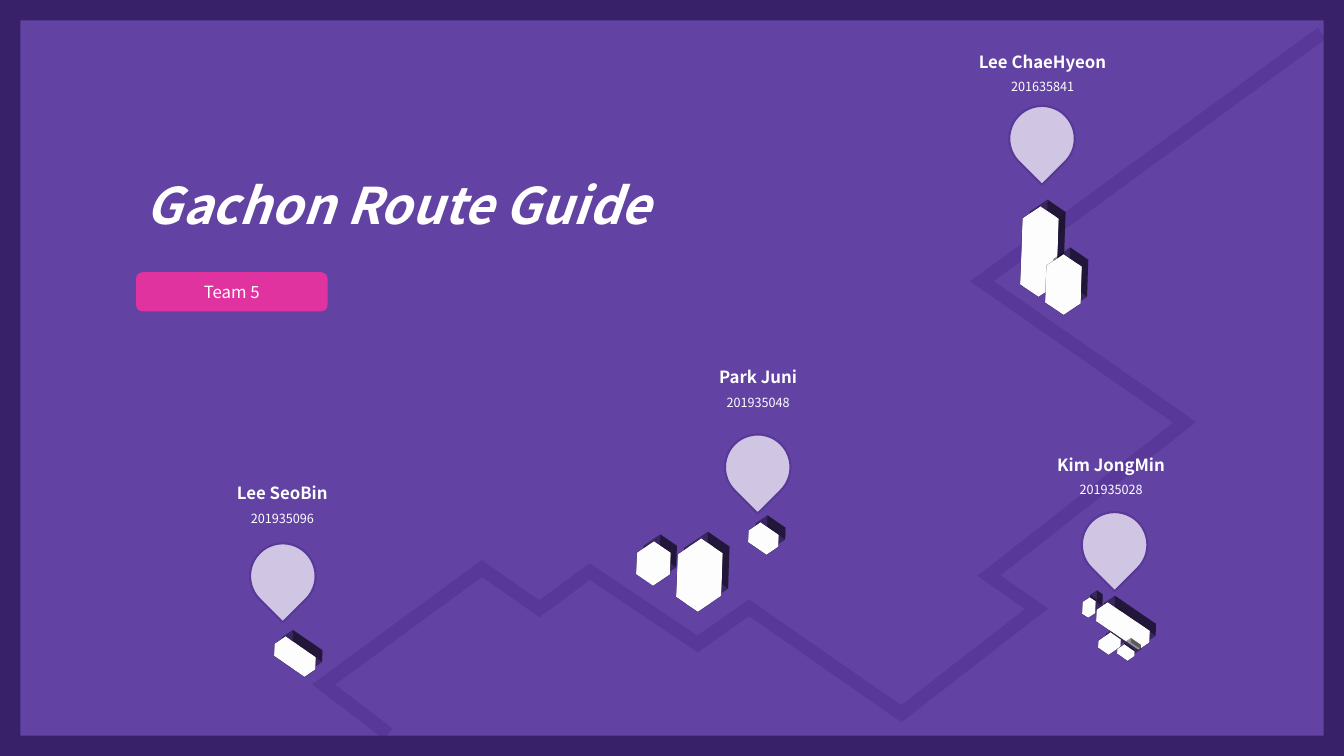
from lxml import etree
from pptx import Presentation, util as u
from pptx.dml.color import RGBColor
from pptx.enum import shapes, text
from pptx.oxml import parse_xml
from pptx.oxml.ns import nsdecls, qn

# The slide is a grid of 1333 x 750 cells, each a hundredth of an inch.
CELL = 9144
COLS, ROWS = 1333, 750
FONT = "Noto Sans CJK KR"
COLOURS = {"ground": "6242A3", "route": "583899", "frame": "382169", "pink": "E1339F",
           "white": "FFFFFF", "shade": "000000"}

TITLE = "Gachon Route Guide"
TEAM = "Team 5"
ROUTE = [(1311, 33), (974, 279), (1175, 419), (981, 571), (1028, 604), (894, 708), (743, 603),
         (692, 639), (585, 567), (535, 604), (478, 564), (321, 679), (385, 728)]
# name, number, label (left, top, width), pin (left, top)
MEMBERS = [
    ("Park Juni", "201935048", (687, 349, 130), (719, 431)),
    ("Kim JongMin", "201935028", (1026, 436, 152), (1073, 508)),
    ("Lee SeoBin", "201935096", (215, 464, 130), (248, 539)),
    ("Lee ChaeHyeon", "201635841", (958, 36, 152), (1001, 105)),
]
# left, top, width, height of the front, depth in points
BUILDINGS = [
    (667, 550, 30, 57, 24), (628, 550, 23, 29, 17), (267, 647, 41, 16, 11),
    (739, 530, 25, 16, 12), (1010, 211, 25, 89, 18), (1034, 263, 25, 50, 17),
    (1073, 597, 8, 16, 7), (1088, 638, 14, 9, 12), (1080, 617, 57, 16, 11),
    (1106, 647, 14, 6, 7),
]
TILT, TURN, ROLL = 43, 43, 358
PIN = 65

prs = Presentation()
prs.slide_width, prs.slide_height = COLS * CELL, ROWS * CELL
s = prs.slides.add_slide(prs.slide_layouts[6])
s.background.fill.solid()
s.background.fill.fore_color.rgb = RGBColor.from_string(COLOURS["ground"])


def paint(sp, fill=None, alpha=None, line=None, width=0):
    sp.shadow.inherit = False
    if fill:
        sp.fill.solid()
        sp.fill.fore_color.rgb = RGBColor.from_string(COLOURS[fill])
        if alpha:
            colour = sp._element.spPr.find(qn("a:solidFill"))[0]
            etree.SubElement(colour, qn("a:alpha"), val=str(alpha * 1000))
    else:
        sp.fill.background()
    if line:
        sp.line.color.rgb = RGBColor.from_string(COLOURS[line])
        sp.line.width = u.Pt(width)
    else:
        sp.line.fill.background()
    return sp


def preset(kind, *box):
    return s.shapes.add_shape(kind, *(n * CELL for n in box))


def write(p, words, size, bold=False, italic=False):
    p.text = words
    r = p.runs[0]
    r.font.name, r.font.size = FONT, u.Pt(size)
    r.font.bold, r.font.italic = bold, italic
    r.font.color.rgb = RGBColor.from_string(COLOURS["white"])
    for tag in ("a:ea", "a:cs"):
        etree.SubElement(r.font._element, qn(tag), typeface=FONT)


def text_box(*box):
    tf = s.shapes.add_textbox(*(n * CELL for n in box)).text_frame
    tf.word_wrap = True
    tf.auto_size = text.MSO_AUTO_SIZE.SHAPE_TO_FIT_TEXT
    return tf


def building(left, top, width, height, depth):
    """Draw a rectangle extruded backwards into an isometric block with a shadow."""
    sp = paint(preset(shapes.MSO_SHAPE.RECTANGLE, left, top, width, height), "white")
    props = sp._element.spPr
    effects = props.find(qn("a:effectLst"))
    shadow = etree.SubElement(effects, qn("a:outerShdw"), blurRad=str(u.Pt(22)),
                              dist=str(u.Pt(7)), dir=str(315 * 60000), algn="bl",
                              rotWithShape="0")
    tone = etree.SubElement(shadow, qn("a:srgbClr"), val=COLOURS["shade"])
    etree.SubElement(tone, qn("a:alpha"), val="40000")
    props.append(parse_xml(
        f'<a:scene3d {nsdecls("a")}><a:camera prst="isometricLeftDown">'
        f'<a:rot lat="{TILT * 60000}" lon="{TURN * 60000}" rev="{ROLL * 60000}"/></a:camera>'
        '<a:lightRig rig="flat" dir="t"/></a:scene3d>'))
    props.append(parse_xml(
        f'<a:sp3d {nsdecls("a")} extrusionH="{u.Pt(depth)}" prstMaterial="matte">'
        f'<a:extrusionClr><a:srgbClr val="{COLOURS["white"]}"/></a:extrusionClr></a:sp3d>'))


def route():
    builder = s.shapes.build_freeform(*ROUTE[0], scale=CELL)
    builder.add_line_segments(ROUTE[1:], close=False)
    sp = paint(builder.convert_to_shape(), line="route", width=9.75)
    etree.SubElement(sp.line._get_or_add_ln(), qn("a:miter"), lim="800000")


def title():
    p = text_box(135, 138, 653, 89).paragraphs[0]
    write(p, TITLE, 36, bold=True, italic=True)
    p.line_spacing = 1.5


building(*BUILDINGS[0])
route()
title()
for block in BUILDINGS[1:]:
    building(*block)

badge = paint(preset(shapes.MSO_SHAPE.ROUNDED_RECTANGLE, 135, 270, 190, 39), "pink")
tf = badge.text_frame
tf.vertical_anchor = text.MSO_ANCHOR.MIDDLE
write(tf.paragraphs[0], TEAM, 12)
tf.paragraphs[0].alignment = text.PP_ALIGN.CENTER

for *_, pin_at in MEMBERS:
    pin = preset(shapes.MSO_SHAPE.TEAR, *pin_at, PIN, PIN)
    pin.rotation = 135
    paint(pin, "white", 70, "route", 1.5)

border = paint(preset(shapes.MSO_SHAPE.FRAME, 0, 0, COLS, ROWS), "frame")
border.adjustments[0] = 0.027

for name, number, label, _ in MEMBERS:
    tf = text_box(*label, 60)
    write(tf.paragraphs[0], name, 12, bold=True)
    write(tf.add_paragraph(), number, 9)
    for p in tf.paragraphs:
        p.alignment, p.line_spacing = text.PP_ALIGN.CENTER, 1.5

prs.save("out.pptx")
